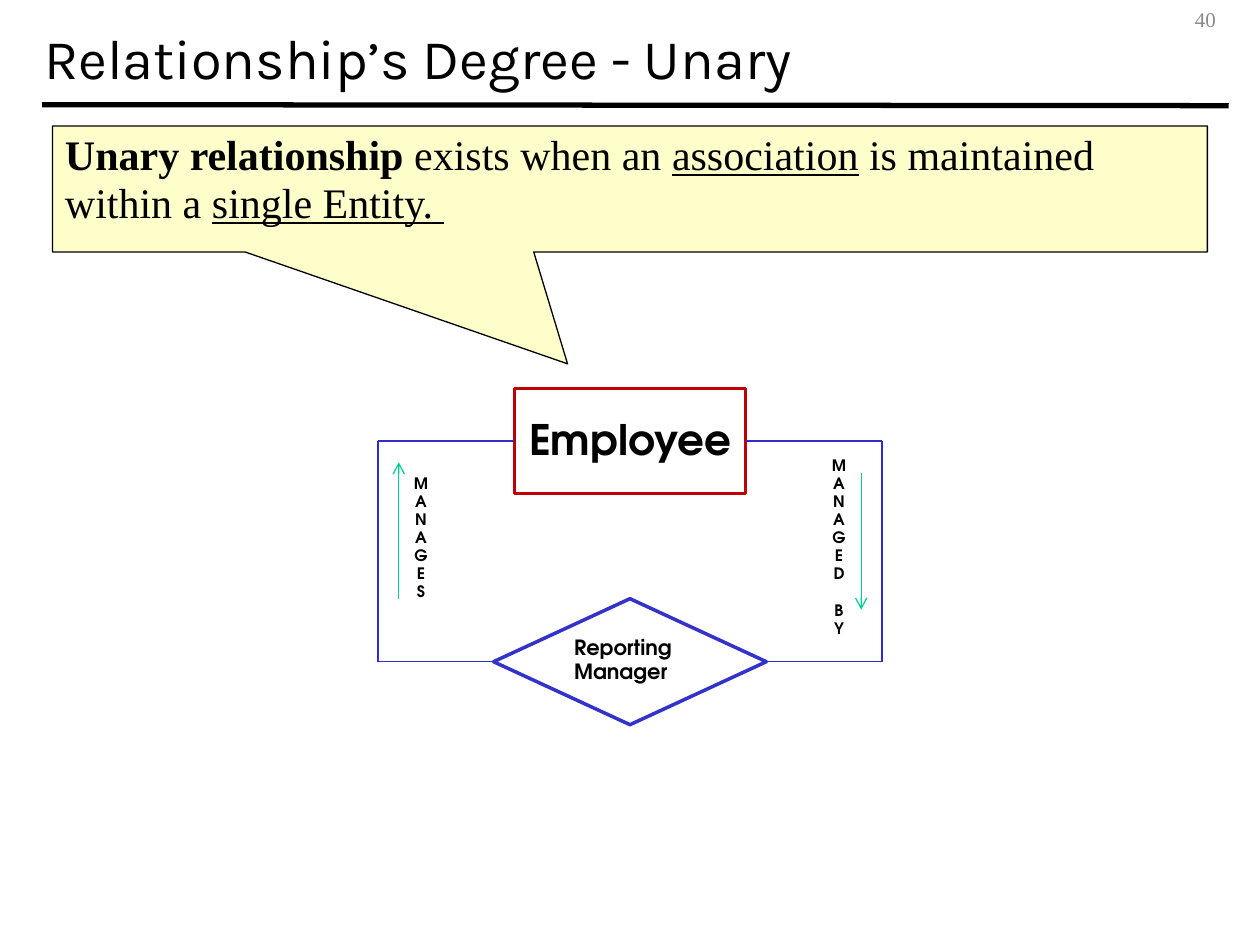
from lxml import etree
from pptx import Presentation
from pptx import util as u
from pptx.dml.color import RGBColor
from pptx.enum import shapes, text
from pptx.oxml import ns

Cm, Pt = u.Cm, u.Pt
KIND, ALIGN, ANCHOR = shapes.MSO_SHAPE, text.PP_ALIGN, text.MSO_ANCHOR
HUES = {"ink": "000000", "page": "FFFFFF", "grey": "898989", "note": "FDFECA",
        "red": "C00000", "blue": "3333CC", "link": "2E2ECB", "green": "00CC98"}
HEAD, BODY, LABEL = "Karla", "Times New Roman", "TeX Gyre Adventor"


def hue(name):
    return RGBColor.from_string(HUES[name])


def style(para, font, size, color="ink", bold=None, align=ALIGN.LEFT, gap=0.95):
    para.alignment = align
    para.line_spacing = gap
    para.font.name = font
    para.font.size = Pt(size)
    para.font.bold = bold
    para.font.color.rgb = hue(color)


def add_text(slide, box, words, font, size, **look):
    frame = slide.shapes.add_textbox(*map(Cm, box)).text_frame
    frame.word_wrap = True
    frame.vertical_anchor = ANCHOR.MIDDLE
    frame.text = words
    style(frame.paragraphs[0], font, size, **look)


def add_shape(slide, kind, box, fill, edge, width, anchor=ANCHOR.TOP):
    shape = slide.shapes.add_shape(kind, *map(Cm, box))
    shape.shadow.inherit = False
    shape.fill.solid()
    shape.fill.fore_color.rgb = hue(fill)
    shape.line.color.rgb = hue(edge)
    shape.line.width = Pt(width)
    shape.text_frame.vertical_anchor = anchor
    return shape


def add_line(slide, ends, color, width=0.75, arrow=False):
    line = slide.shapes.add_connector(shapes.MSO_CONNECTOR.STRAIGHT, *map(Cm, ends))
    line.line.color.rgb = hue(color)
    line.line.width = Pt(width)
    if arrow:
        etree.SubElement(line.line._get_or_add_ln(), ns.qn("a:tailEnd"), type="arrow")
    etree.SubElement(line._element.spPr, ns.qn("a:effectLst"))
    return line


def add_stack(slide, box, words):
    """Write words downwards, one letter a line, with a line's gap between words."""
    frame = slide.shapes.add_textbox(*map(Cm, box)).text_frame
    frame.word_wrap = False
    para = frame.paragraphs[0]
    for row, word in enumerate(words.split()):
        for col, mark in enumerate(word):
            if row or col:
                para = frame.add_paragraph()
            para.text = mark
            style(para, LABEL, 9, bold=True, align=ALIGN.CENTER)
            if row and not col:
                para.space_before = Pt(10.3)


def add_note(slide):
    note = add_shape(slide, KIND.RECTANGULAR_CALLOUT, (1.06, 2.54, 23.28, 2.54),
                     "note", "ink", 0.75)
    note.adjustments[0], note.adjustments[1] = -0.054, 1.388
    para = note.text_frame.paragraphs[0]
    style(para, BODY, 24)
    for words, bold, under in (("Unary relationship ", True, None),
                               ("exists when an ", None, None),
                               ("association", None, True),
                               (" is maintained within a ", None, None),
                               ("single Entity. ", None, True)):
        run = para.add_run()
        run.text = words
        run.font.bold, run.font.underline = bold, under


def add_loop(slide):
    top, low = 8.89, 13.34
    staff = add_shape(slide, KIND.RECTANGLE, (10.37, 7.83, 4.66, 2.12),
                      "page", "red", 2, ANCHOR.MIDDLE)
    staff.text_frame.text = "Employee"
    style(staff.text_frame.paragraphs[0], LABEL, 24, bold=True, align=ALIGN.CENTER)

    boss = add_shape(slide, KIND.DIAMOND, (9.95, 12.07, 5.5, 2.54), "page", "blue", 2)
    boss.text_frame.text = "Reporting Manager"
    style(boss.text_frame.paragraphs[0], LABEL, 12, bold=True)

    # Each side runs out from both shapes to a shared upright
    for x, side in ((7.62, 1), (17.78, 3)):
        for shape, y in ((staff, top), (boss, low)):
            add_line(slide, (12.7, y, x, y), "link").begin_connect(shape, side)
        add_line(slide, (x, top, x, low), "link")


def main():
    deck = Presentation()
    deck.slide_width, deck.slide_height = Cm(25.4), Cm(19.05)
    slide = deck.slides.add_slide(deck.slide_layouts[6])

    # Header
    add_line(slide, (0.85, 2.11, 24.77, 2.13), "ink", 3)
    add_text(slide, (0.64, 0, 24.13, 2.31), "Relationship’s Degree - Unary",
             HEAD, 32, gap=1.01)
    add_text(slide, (19.48, 0, 5.28, 0.84), "40", BODY, 12,
             color="grey", align=ALIGN.RIGHT)

    # Definition and diagram
    add_note(slide)
    add_loop(slide)

    # Reading directions
    add_line(slide, (17.36, 9.53, 17.36, 12.29), "green", arrow=True)
    add_stack(slide, (16.51, 9.1, 0.81, 4.24), "MANAGED BY")
    add_line(slide, (8.04, 12.07, 8.04, 9.32), "green", arrow=True)
    add_stack(slide, (8.08, 9.46, 0.81, 3.2), "MANAGES")

    deck.save("out.pptx")


if __name__ == "__main__":
    main()
